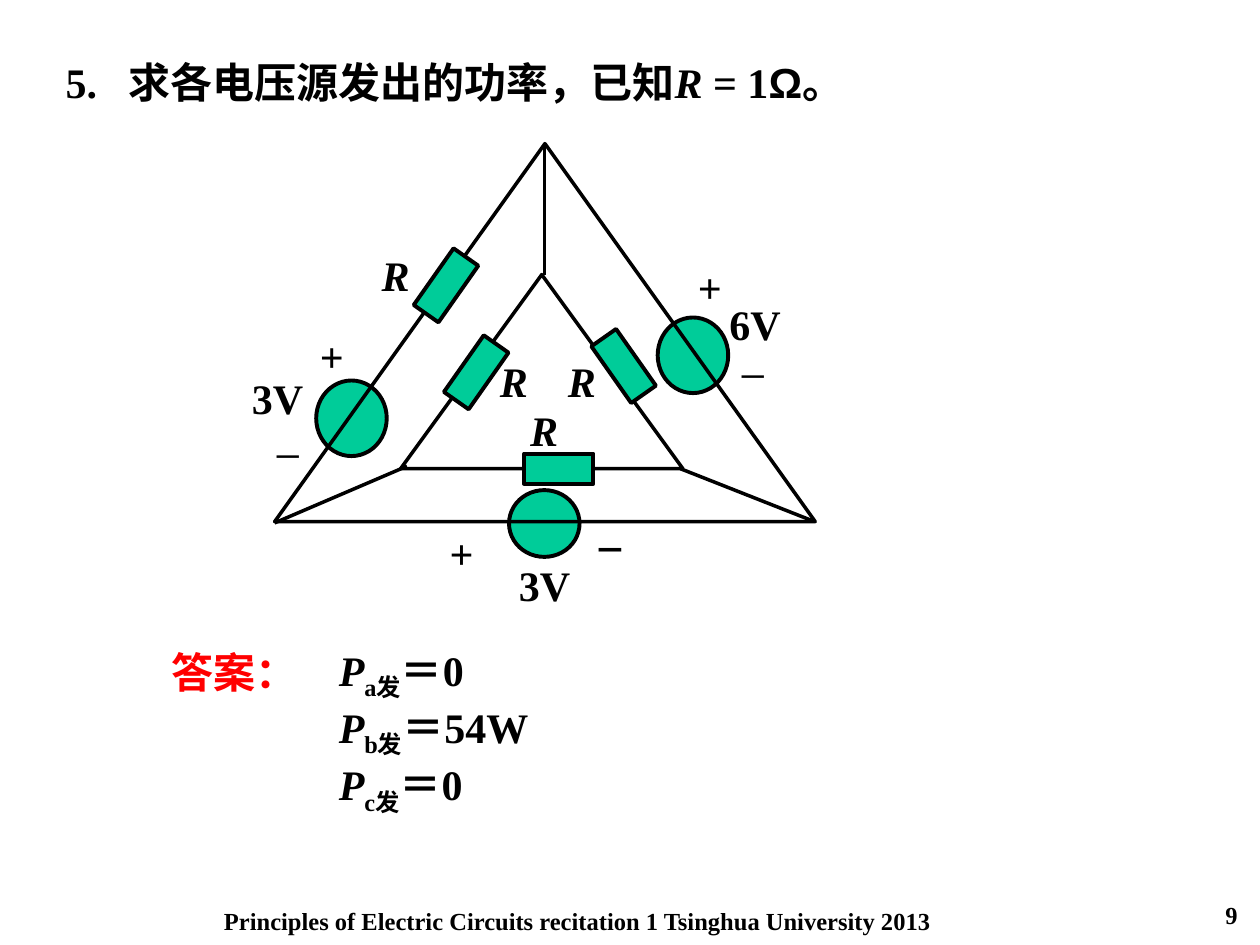
from lxml.etree import SubElement
from pptx import Presentation
from pptx.dml.color import RGBColor
from pptx.enum.shapes import MSO_CONNECTOR, MSO_SHAPE
from pptx.enum.text import MSO_ANCHOR, MSO_AUTO_SIZE, PP_ALIGN
from pptx.oxml.ns import qn
from pptx.util import Inches, Pt

BLACK = RGBColor(0, 0, 0)
RED = RGBColor(0xFF, 0, 0)
GREEN = RGBColor(0, 0xCC, 0x99)
SERIF = "Times New Roman"
CJK = "Noto Sans CJK SC"


def style(paragraph, size=24, color=BLACK, face=SERIF, bold=True, italic=False):
    """Give a paragraph its font."""
    font = paragraph.font
    font.size, font.name = Pt(size), face
    font.bold, font.italic = bold, italic
    font.color.rgb = color
    SubElement(paragraph._p.pPr.find(qn("a:defRPr")), qn("a:ea"), typeface=CJK)


def add_run(paragraph, text, italic=False):
    """Append a run, italic or upright."""
    run = paragraph.add_run()
    run.text = text
    run.font.italic = italic
    return run


def add_text_frame(slide, left, top, width, height):
    """Add an empty wrapping text box and return its frame."""
    box = slide.shapes.add_textbox(Inches(left), Inches(top), Inches(width), Inches(height))
    box.text_frame.word_wrap = True
    return box.text_frame


def add_label(slide, text, left, top, width=0.9, height=0.72, align=PP_ALIGN.LEFT, **look):
    """Add a one-line text in a single style."""
    paragraph = add_text_frame(slide, left, top, width, height).paragraphs[0]
    paragraph.text = text
    paragraph.alignment = align
    style(paragraph, **look)
    return paragraph


def add_symbol(slide, kind, left, top, width, height, rotation=0, fill=GREEN, line=2.25):
    """Add an outlined circuit shape, filled unless fill is None."""
    symbol = slide.shapes.add_shape(kind, Inches(left), Inches(top), Inches(width), Inches(height))
    symbol.shadow.inherit = False
    symbol.rotation = rotation
    if fill is None:
        symbol.fill.background()
    else:
        symbol.fill.solid()
        symbol.fill.fore_color.rgb = fill
    symbol.line.color.rgb = BLACK
    symbol.line.width = Pt(line)


def add_wire(slide, x1, y1, x2, y2):
    """Add a straight wire between two nodes."""
    wire = slide.shapes.add_connector(
        MSO_CONNECTOR.STRAIGHT, Inches(x1), Inches(y1), Inches(x2), Inches(y2))
    wire.line.color.rgb = BLACK
    wire.line.width = Pt(2)
    SubElement(wire._element.spPr, qn("a:effectLst"))


def add_question(slide):
    """Write the question in the title placeholder."""
    title = slide.shapes.title
    title.left, title.top = Inches(0.42), Inches(0.4)
    title.width, title.height = Inches(6.89), Inches(0.5)
    frame = title.text_frame
    frame.vertical_anchor = MSO_ANCHOR.TOP
    frame.auto_size = MSO_AUTO_SIZE.NONE
    paragraph = frame.paragraphs[0]
    paragraph.alignment = PP_ALIGN.LEFT
    tabs = SubElement(paragraph._p.get_or_add_pPr(), qn("a:tabLst"))
    SubElement(tabs, qn("a:tab"), pos=str(Inches(0.5)), algn="l")
    style(paragraph)
    add_run(paragraph, "5.\t求各电压源发出的功率，已知")
    add_run(paragraph, "R", italic=True)
    add_run(paragraph, " = 1")
    add_run(paragraph, "Ω").font.name = "Arial"
    add_run(paragraph, "。")


def add_circuit(slide):
    """Draw the sources, wires and resistors with their labels."""
    for left, top, height in ((2.51, 3.02, 0.6), (4.04, 3.89, 0.53), (5.22, 2.52, 0.6)):
        add_symbol(slide, MSO_SHAPE.OVAL, left, top, 0.56, height)
    for loop in ((2.18, 1.14, 4.29, 3), (3.18, 2.18, 2.24, 1.54)):
        add_symbol(slide, MSO_SHAPE.ISOSCELES_TRIANGLE, *loop, fill=None, line=2)
    for left, top, tilt in ((3.42, 1.99, 35.1), (3.66, 2.68, 35.1), (4.83, 2.63, -35.1)):
        add_symbol(slide, MSO_SHAPE.RECTANGLE, left, top, 0.24, 0.55, tilt)
    add_symbol(slide, MSO_SHAPE.RECTANGLE, 4.16, 3.6, 0.55, 0.24)
    for nodes in ((4.32, 1.14, 4.32, 2.18), (2.18, 4.15, 3.23, 3.7), (5.4, 3.72, 6.44, 4.13)):
        add_wire(slide, *nodes)

    for voltage, left, top in (("3V", 4.02, 4.39), ("3V", 1.9, 2.91), ("6V", 5.69, 2.32)):
        add_label(slide, voltage, left, top, 1.09)
    for left, top in ((3.47, 4.14), (2.44, 2.57), (5.44, 2.03)):
        add_label(slide, "+", left, top)
    for left, top, bold in ((4.65, 3.95, True), (5.79, 2.57, False), (2.1, 3.21, False)):
        add_label(slide, "_", left, top, face=CJK, bold=bold)
    for left, top in ((2.93, 1.93), (3.87, 2.77), (4.41, 2.77), (4.11, 3.16)):
        add_label(slide, "R", left, top, italic=True)


def add_answers(slide):
    """Write the heading and the power of each source."""
    heading = add_label(slide, "答案：", 1.26, 5.08, 1.2, 0.5, color=RED)
    effects = SubElement(heading.runs[0]._r.get_or_add_rPr(), qn("a:effectLst"))
    shadow = SubElement(effects, qn("a:outerShdw"), dist="12700", dir="2700000")
    SubElement(shadow, qn("a:srgbClr"), val="808080")

    frame = add_text_frame(slide, 2.59, 5.06, 3.25, 1.47)
    frame.vertical_anchor = MSO_ANCHOR.MIDDLE
    for index, (source, power) in enumerate((("a", "0"), ("b", "54W"), ("c", "0"))):
        paragraph = frame.add_paragraph() if index else frame.paragraphs[0]
        style(paragraph)
        add_run(paragraph, "P", italic=True)
        subscript = add_run(paragraph, f"{source}发")
        subscript._r.get_or_add_rPr().set("baseline", "-25000")
        add_run(paragraph, f"＝{power}")


def main():
    """Build the slide and save it."""
    presentation = Presentation()
    presentation.slide_width, presentation.slide_height = Inches(10), Inches(7.5)
    slide = presentation.slides.add_slide(presentation.slide_layouts[5])
    add_question(slide)
    add_circuit(slide)
    add_answers(slide)
    add_label(slide, "Principles of Electric Circuits recitation 1 Tsinghua University 2013",
              1.56, 7.14, 6.05, 0.55, PP_ALIGN.CENTER, size=14)
    add_label(slide, "9", 7.84, 7.09, 2.08, 0.5, PP_ALIGN.RIGHT, size=14)
    presentation.save("out.pptx")


if __name__ == "__main__":
    main()
